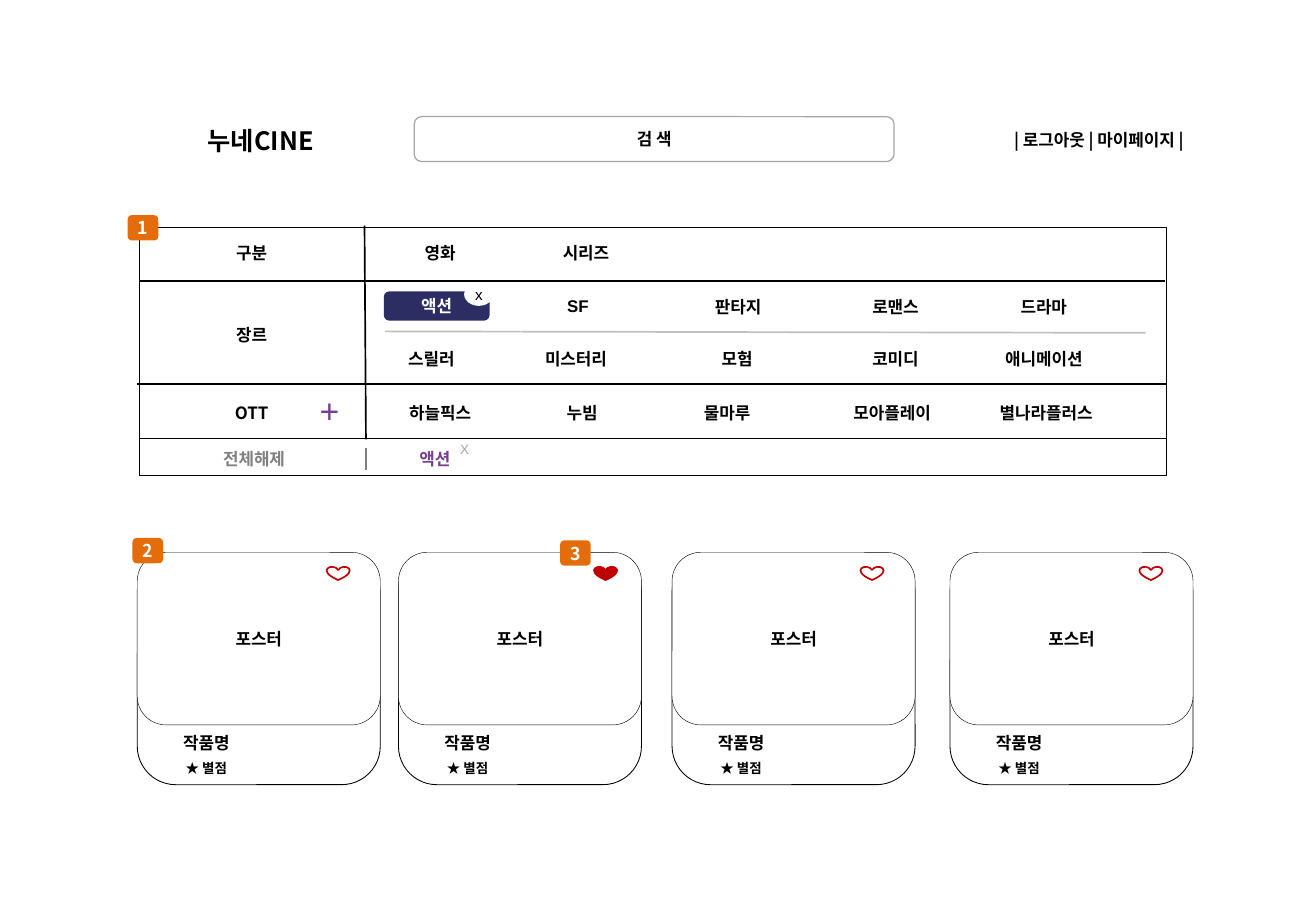
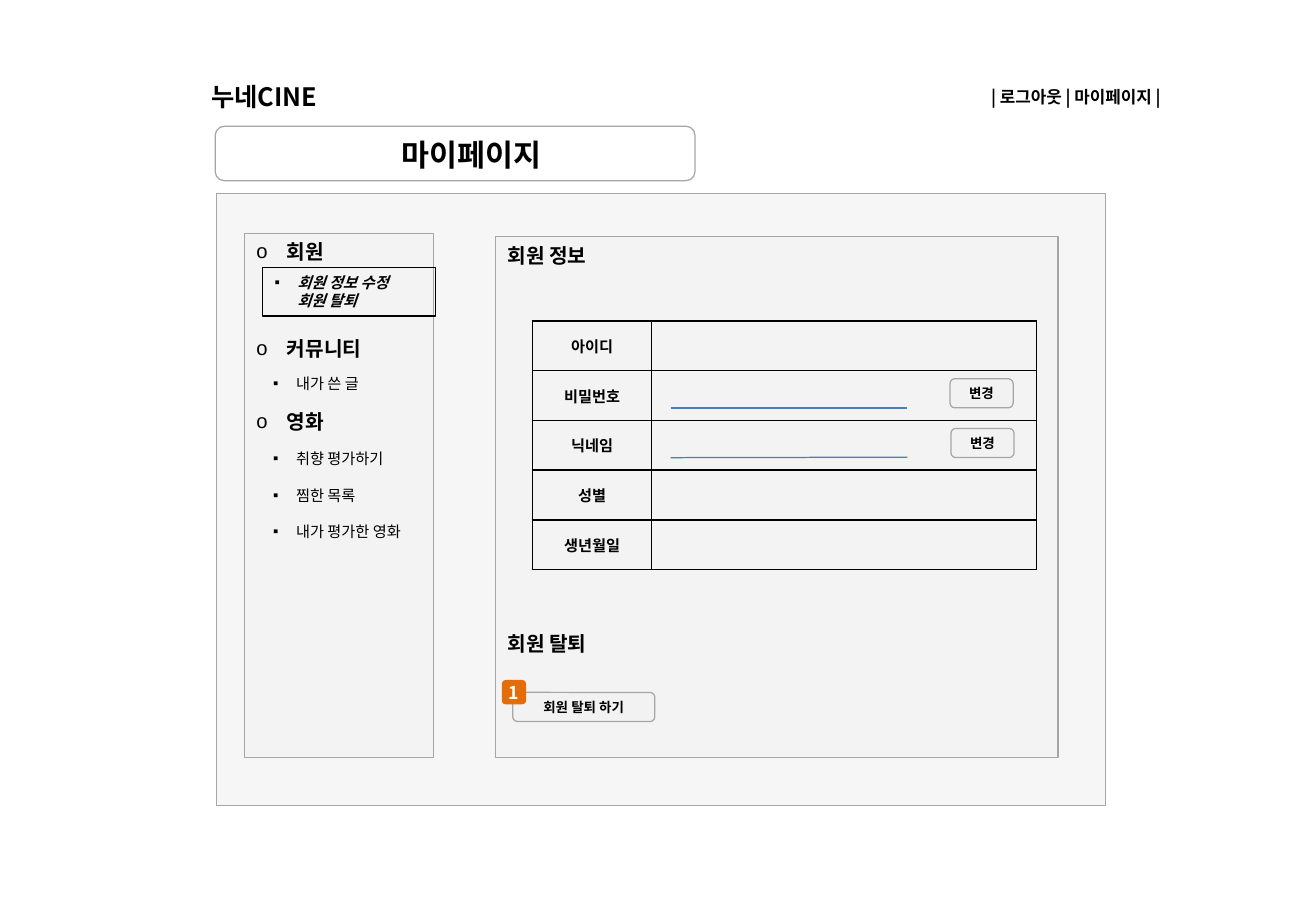
from copy import deepcopy
from dataclasses import dataclass

from lxml import etree
from pptx import Presentation
from pptx.dml.color import RGBColor
from pptx.enum.shapes import MSO_CONNECTOR, MSO_SHAPE
from pptx.enum.text import MSO_ANCHOR, MSO_AUTO_SIZE, PP_ALIGN
from pptx.oxml.ns import qn
from pptx.util import Cm, Pt

LEFT, CENTER, RIGHT = PP_ALIGN.LEFT, PP_ALIGN.CENTER, PP_ALIGN.RIGHT
TOP, MIDDLE = MSO_ANCHOR.TOP, MSO_ANCHOR.MIDDLE
RECTANGLE, ROUNDED = MSO_SHAPE.RECTANGLE, MSO_SHAPE.ROUNDED_RECTANGLE
HEART, OVAL = MSO_SHAPE.HEART, MSO_SHAPE.OVAL
STRAIGHT = MSO_CONNECTOR.STRAIGHT


@dataclass(frozen=True)
class Theme:
    font: str = "Noto Sans CJK KR"
    latin_font: str = "Arial"
    black: str = "000000"
    white: str = "FFFFFF"
    panel: str = "F2F2F2"
    border: str = "A6A6A6"
    divider: str = "BFBFBF"
    muted: str = "808080"
    navy: str = "2B2D63"
    purple: str = "783E94"
    red: str = "C00000"
    orange: str = "E46C0A"
    blue: str = "4A7EBB"
    page_title: float = 18
    site_name: float = 15
    heading: float = 12
    badge: float = 10.5
    body: float = 10
    detail: float = 9
    small: float = 8
    plus: float = 20


theme = Theme()


def write_text(holder, text, size=theme.body, color=theme.black, font=theme.font, bold=True,
               italic=False, align=LEFT, anchor=TOP, bullet=None, indent=0, gaps=(), side=0.25):
    """Fill a shape or table cell; each line is a paragraph, gaps hold the points before each."""
    frame = holder.text_frame
    frame.word_wrap = True
    frame.vertical_anchor = anchor
    frame.margin_left = frame.margin_right = Cm(side)
    frame.margin_top = frame.margin_bottom = Cm(0.13)
    for index, line in enumerate(text.split("\n")):
        paragraph = frame.add_paragraph() if index else frame.paragraphs[0]
        paragraph.text = line
        paragraph.alignment = align
        if gaps:
            paragraph.space_before = Pt(gaps[index])
        for run in paragraph.runs:
            run.font.name = font
            run.font.size = Pt(size)
            run.font.bold = bold
            run.font.italic = italic
            run.font.color.rgb = RGBColor.from_string(color)
            properties = run._r.get_or_add_rPr()
            etree.SubElement(properties, qn("a:ea"), typeface=font)
        for line_break in paragraph._p.findall(qn("a:br")):
            line_break.append(deepcopy(properties))
        if bullet:
            settings = paragraph._p.get_or_add_pPr()
            settings.set("marL", str(Cm(indent)))
            settings.set("indent", str(-Cm(indent)))
            etree.SubElement(settings, qn("a:buFont"), typeface=theme.latin_font)
            etree.SubElement(settings, qn("a:buChar"), char=bullet)


def add_box(slide, box, text="", geometry=None, fill=None, line=None, weight=0.75, opacity=None,
            **text_format):
    """Add a text box, or a preset shape when a geometry is given; box is in centimetres."""
    position = [Cm(length) for length in box]
    if geometry is None:
        shape = slide.shapes.add_textbox(*position)
    else:
        shape = slide.shapes.add_shape(geometry, *position)
        shape.shadow.inherit = False
        if fill:
            shape.fill.solid()
            shape.fill.fore_color.rgb = RGBColor.from_string(fill)
        else:
            shape.fill.background()
        if opacity:
            color = shape._element.spPr.find(qn("a:solidFill"))[0]
            etree.SubElement(color, qn("a:alpha"), val=str(opacity * 1000))
        if line:
            shape.line.color.rgb = RGBColor.from_string(line)
            shape.line.width = Pt(weight)
        else:
            shape.line.fill.background()
    if text:
        write_text(shape, text, **text_format)


presentation = Presentation()
presentation.slide_width, presentation.slide_height = Cm(27.51), Cm(19.05)
title_only = presentation.slide_layouts[5]
search_slide = presentation.slides.add_slide(title_only)
account_slide = presentation.slides.add_slide(title_only)

# Titles and navigation
site_name = "누네CINE"
for slide, box, text, size, align in (
    (search_slide, (4.09, 2.49, 3.2, 0.87), site_name, theme.site_name, LEFT),
    (account_slide, (7.01, 2.72, 5.69, 1.02), "마이페이지", theme.page_title, CENTER),
):
    title = slide.shapes.title
    title.left, title.top, title.width, title.height = [Cm(length) for length in box]
    write_text(title, text, size=size, align=align)
    title.text_frame.auto_size = MSO_AUTO_SIZE.NONE
add_box(account_slide, (4.17, 1.57, 3.2, 0.89), site_name, size=theme.site_name)
for slide, left, top in ((search_slide, 19.66, 2.59), (account_slide, 19.18, 1.68)):
    add_box(slide, (left, top, 5.33, 0.66), "| 로그아웃 | 마이페이지 |", align=RIGHT)

# Search field and filter panel
add_box(search_slide, (8.66, 2.44, 10.03, 0.94), "검 색", ROUNDED, line=theme.border,
        align=CENTER, anchor=MIDDLE)
for top, height in ((4.75, 4.45), (9.17, 0.76)):
    add_box(search_slide, (2.92, top, 21.46, height), geometry=RECTANGLE, fill=theme.white,
            line=theme.black, weight=0.25)

filter_rows = (
    (4.95, (("구분", 5.26), ("영화", 9.2), ("시리즈", 12.25))),
    (6.65, (("장르", 5.26),)),
    (6.07, (("판타지", 15.43), ("로맨스", 18.72), ("드라마", 21.82))),
    (7.16, (("스릴러", 9.02), ("미스터리", 12.04), ("모험", 15.41), ("코미디", 18.72),
            ("애니메이션", 21.82))),
    (8.28, (("OTT", 5.26), ("하늘픽스", 9.2), ("누빔", 12.17), ("물마루", 15.2),
            ("모아플레이", 18.65), ("별나라플러스", 21.87))),
)
filter_width = 3.2
for top, filters in filter_rows:
    for text, center in filters:
        add_box(search_slide, (center - filter_width / 2, top, filter_width, 0.66), text,
                align=CENTER)
add_box(search_slide, (10.48, 6.05, filter_width, 0.66), "SF", font=theme.latin_font, align=CENTER)
add_box(search_slide, (6.43, 8.03, 1.04, 1.07), "+", size=theme.plus, color=theme.purple,
        font=theme.latin_font, bold=False)
add_box(search_slide, (8.05, 6.12, 2.16, 0.56), "액션", ROUNDED, fill=theme.navy, line=theme.navy,
        weight=1.5, color=theme.white, align=CENTER, anchor=MIDDLE)
add_box(search_slide, (9.73, 5.94, 0.56, 0.43), geometry=OVAL, fill=theme.white,
        line=theme.white, weight=1.5)
add_box(search_slide, (9.73, 5.84, 0.56, 0.63), "x", size=theme.detail, font=theme.latin_font,
        bold=False, align=CENTER, anchor=MIDDLE, side=0)
for text, left, color in (("전체해제", 3.94, theme.muted), ("액션", 7.72, theme.purple)):
    add_box(search_slide, (left, 9.26, 2.74, 0.66), text, color=color, align=CENTER)
add_box(search_slide, (9.37, 9.09, 0.84, 0.58), "X", size=theme.small, color=theme.border,
        font=theme.latin_font, bold=False)

# Poster cards
for left, heart_offset, heart_fill in (
    (2.87, 3.96, theme.white), (8.33, 4.09, theme.red),
    (14.05, 3.94, theme.white), (19.86, 3.96, theme.white),
):
    add_box(search_slide, (left, 11.58, 5.08, 4.83), geometry=ROUNDED, fill=theme.white,
            line=theme.black, weight=0.5)
    add_box(search_slide, (left, 11.55, 5.08, 3.61), "포스터", ROUNDED, fill=theme.white,
            line=theme.black, weight=0.25, align=CENTER, anchor=MIDDLE)
    add_box(search_slide, (left + 0.71, 15.19, 3.02, 0.66), "작품명")
    add_box(search_slide, (left + 0.76, 15.77, 3.99, 0.58), "★ 별점", size=theme.small)
    add_box(search_slide, (left + heart_offset, 11.85, 0.48, 0.28), geometry=HEART,
            fill=heart_fill, line=theme.red, weight=1)

# Account page panels; blank space is counted in lines of text
heading_line, detail_line = 14.4, 10.8
panel = dict(fill=theme.panel, opacity=69, line=theme.border)
menu_item = dict(size=theme.detail, bullet="▪", indent=0.48)
add_box(account_slide, (4.5, 2.64, 10.03, 1.14), geometry=ROUNDED, line=theme.border)
add_box(account_slide, (4.52, 4.04, 18.59, 12.8), geometry=RECTANGLE, **panel)
add_box(account_slide, (5.11, 4.88, 3.96, 10.97), "회원\n커뮤니티\n영화", RECTANGLE,
        size=theme.heading, bullet="o", indent=0.64,
        gaps=(0, 3 * heading_line, 2 * heading_line), **panel)
add_box(account_slide, (5.49, 5.59, 3.61, 1.02), "회원 정보 수정\v회원 탈퇴", RECTANGLE,
        line=theme.black, italic=True, **menu_item)
add_box(account_slide, (5.46, 7.7, 3.61, 0.64), "내가 쓴 글", bold=False, **menu_item)
add_box(account_slide, (5.46, 9.27, 3.61, 2.18), "취향 평가하기\n찜한 목록\n내가 평가한 영화",
        bold=False, gaps=(0, detail_line, detail_line), **menu_item)
add_box(account_slide, (10.36, 4.95, 11.76, 10.9), "회원 정보\n회원 탈퇴", RECTANGLE,
        size=theme.heading, gaps=(0, 15 * heading_line), **panel)

# Member table
fields = ("아이디", "비밀번호", "닉네임", "성별", "생년월일")
row_height = 1.04
frame = account_slide.shapes.add_table(len(fields), 2, Cm(11.13), Cm(6.71), Cm(10.54),
                                       Cm(row_height * len(fields)))
table = frame.table
table.first_row = table.horz_banding = False
table.columns[0].width, table.columns[1].width = Cm(2.49), Cm(8.05)
for row, field in zip(table.rows, fields):
    row.height = Cm(row_height)
    write_text(row.cells[0], field, size=theme.detail, align=CENTER)
    for cell in row.cells:
        cell.vertical_anchor = MIDDLE
        cell.margin_top = cell.margin_bottom = 0
        properties = cell._tc.get_or_add_tcPr()
        for edge in ("a:lnL", "a:lnR", "a:lnT", "a:lnB"):
            border = etree.SubElement(properties, qn(edge), w=str(Pt(1)))
            fill = etree.SubElement(border, qn("a:solidFill"))
            etree.SubElement(fill, qn("a:srgbClr"), val=theme.black)
        cell.fill.background()

for box, text in (
    ((19.86, 7.92, 1.32, 0.61), "변경"),
    ((19.88, 8.96, 1.32, 0.61), "변경"),
    ((10.72, 14.48, 2.97, 0.61), "회원 탈퇴 하기"),
):
    add_box(account_slide, box, text, ROUNDED, size=theme.small, align=CENTER, anchor=MIDDLE,
            side=0.1, **panel)

# Rules: grid lines, dividers and input lines
for slide, start_x, start_y, end_x, end_y, color, weight in (
    (search_slide, 8.05, 6.93, 23.95, 6.96, theme.divider, 1),
    (search_slide, 7.65, 9.37, 7.65, 9.83, theme.muted, 1),
    (search_slide, 7.65, 9.19, 7.62, 4.72, theme.black, 1),
    (search_slide, 2.92, 5.87, 24.36, 5.87, theme.black, 1),
    (search_slide, 24.38, 8.03, 2.87, 8.03, theme.black, 1),
    (account_slide, 14.02, 8.53, 18.97, 8.53, theme.blue, 0.75),
    (account_slide, 14.02, 9.57, 18.97, 9.56, theme.blue, 0.75),
):
    connector = slide.shapes.add_connector(STRAIGHT, Cm(start_x), Cm(start_y), Cm(end_x), Cm(end_y))
    connector.line.color.rgb = RGBColor.from_string(color)
    connector.line.width = Pt(weight)
    etree.SubElement(connector._element.spPr, qn("a:effectLst"))

# Numbered badges
for slide, number, left, top, width, height in (
    (search_slide, "1", 2.67, 4.5, 0.64, 0.53),
    (search_slide, "2", 2.77, 11.25, 0.64, 0.53),
    (search_slide, "3", 11.71, 11.3, 0.64, 0.53),
    (account_slide, "1", 10.49, 14.22, 0.51, 0.51),
):
    add_box(slide, (left, top, width, height), number, ROUNDED, fill=theme.orange,
            size=theme.badge, color=theme.white, align=CENTER, anchor=MIDDLE, side=0)

presentation.save("out.pptx")
